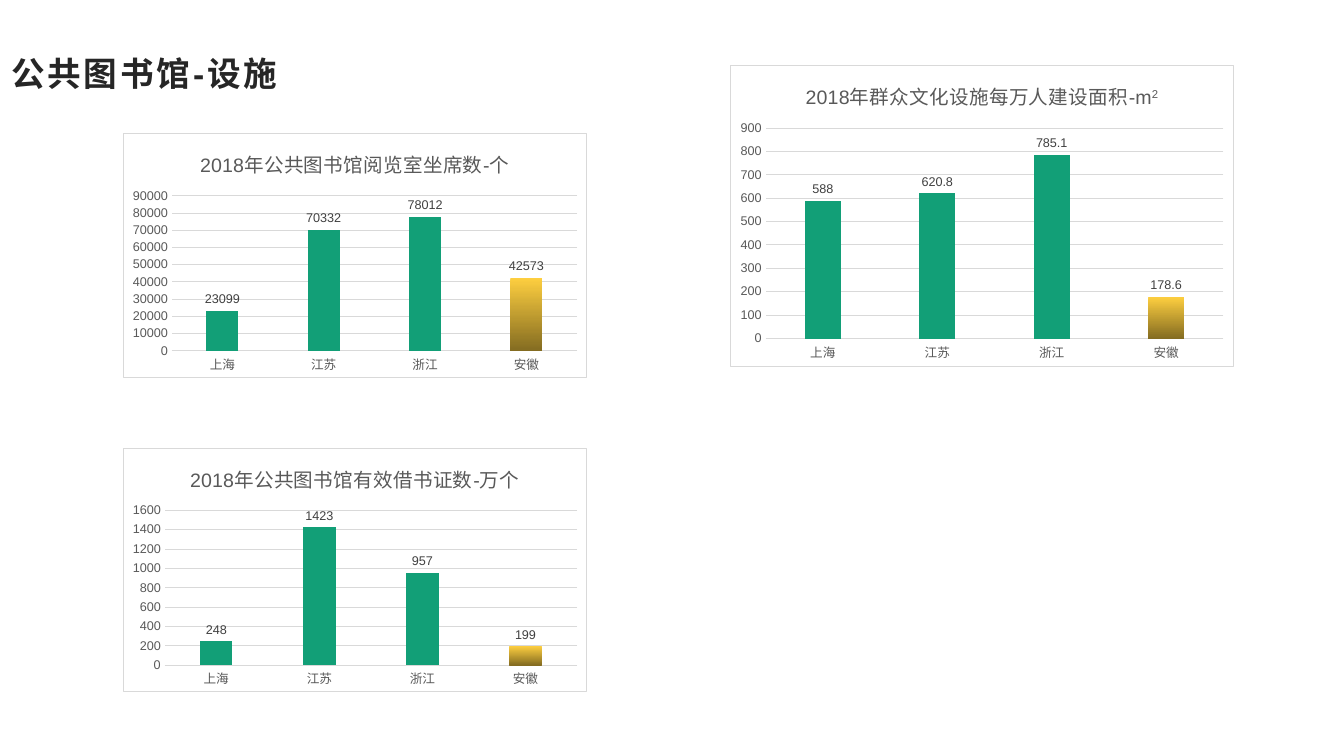
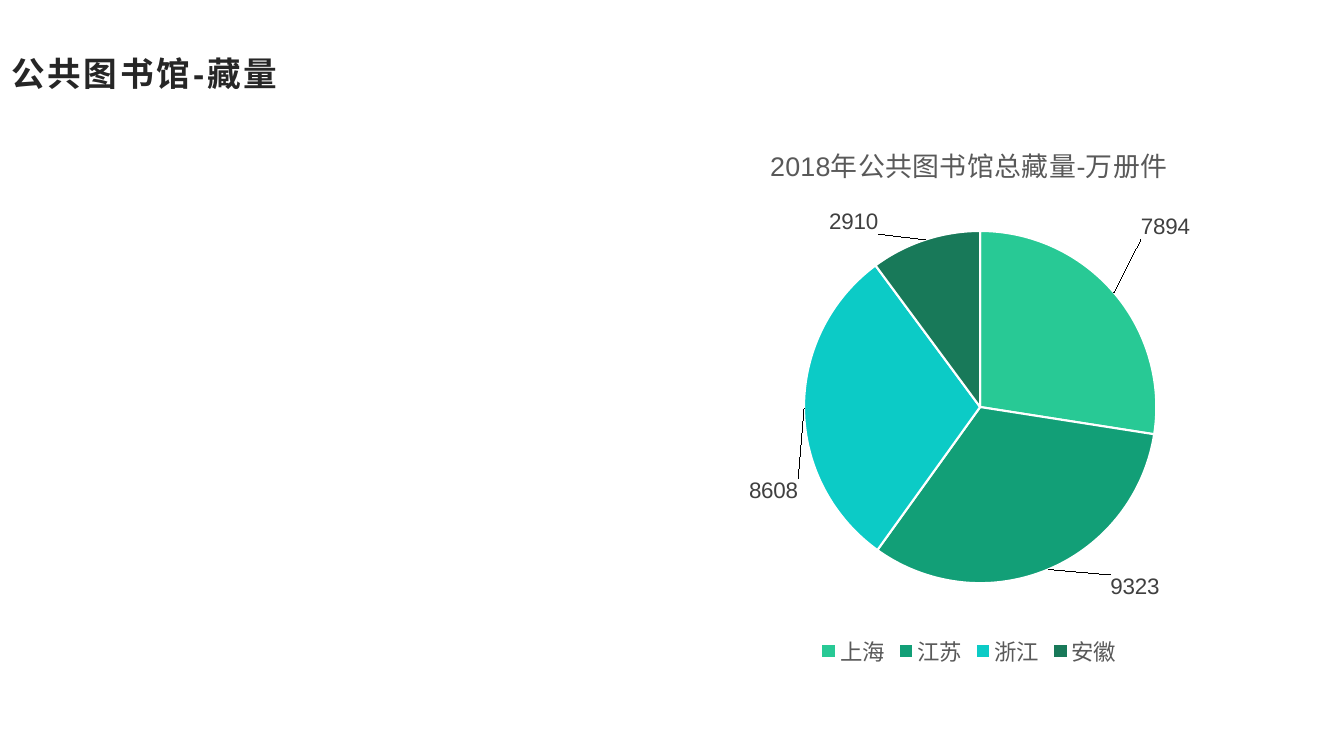
from dataclasses import dataclass

from lxml import etree
from pptx import Presentation
from pptx.chart.data import CategoryChartData
from pptx.dml.color import RGBColor
from pptx.enum.chart import (XL_CHART_TYPE, XL_LABEL_POSITION,
                             XL_LEGEND_POSITION, XL_TICK_MARK)
from pptx.enum.text import MSO_ANCHOR
from pptx.oxml import parse_xml
from pptx.oxml.ns import nsdecls, qn
from pptx.util import Inches, Pt

COLUMN, PIE = XL_CHART_TYPE.COLUMN_CLUSTERED, XL_CHART_TYPE.PIE
OUTSIDE_END = XL_LABEL_POSITION.OUTSIDE_END
LEGEND_BOTTOM = XL_LEGEND_POSITION.BOTTOM
NO_TICK = XL_TICK_MARK.NONE
MIDDLE = MSO_ANCHOR.MIDDLE


@dataclass(frozen=True)
class Theme:
    font: str = "Arial"
    white: str = "FFFFFF"
    heading: str = "262626"
    muted: str = "595959"
    label: str = "404040"
    rule: str = "D9D9D9"
    green: str = "129F77"
    highlight: tuple = ("FECF40", "846C21")
    slices: tuple = ("28C995", "129F77", "0CCBC6", "187959")
    heading_size: float = 24
    column_title_size: float = 14
    column_text_size: float = 9
    pie_title_size: float = 19.2
    pie_text_size: float = 16
    rule_width: float = 0.75
    slice_gap: float = 1.5


THEME = Theme()
PROVINCES = ("上海", "江苏", "浙江", "安徽")
HIGHLIGHTED = PROVINCES.index("安徽")

# title, superscript, values, axis maximum, axis step, (left, top, width, height)
COLUMN_CHARTS = (
    ("2018年公共图书馆阅览室坐席数-个", "", (23099, 70332, 78012, 42573),
     90000, 10000, (1.22, 1.32, 4.6, 2.43)),
    ("2018年公共图书馆有效借书证数-万个", "", (248, 1423, 957, 199),
     1600, 200, (1.22, 4.44, 4.6, 2.43)),
    ("2018年群众文化设施每万人建设面积-m", "2", (588, 620.8, 785.1, 178.6),
     900, 100, (7.24, 0.64, 5, 3)),
)
PIE_TITLE = "2018年公共图书馆总藏量-万册件"
PIE_VALUES = (7894, 9323, 8608, 2910)
PIE_BOX = (5.89, 1.2, 7.44, 5.46)
PIE_AREA = {"x": 0.28, "y": 0.2, "w": 0.47, "h": 0.64}
PIE_LABEL_SHIFTS = ((0.03, -0.09), (0.08, 0), (0, 0.15), (-0.06, 0))


def rgb(value):
    return RGBColor.from_string(value)


def style_font(font, size, color, bold=False):
    font.color.rgb = rgb(color)
    formats = {"name": THEME.font, "size": Pt(size), "bold": bold}
    for name, value in formats.items():
        setattr(font, name, value)


def style_line(line, color, width):
    line.color.rgb = rgb(color)
    line.width = Pt(width)


def add_page(deck, title):
    page = deck.slides.add_slide(deck.slide_layouts[6])
    box = page.shapes.add_textbox(
        Inches(0), Inches(0.48), Inches(11.87), Inches(0.48))
    frame = box.text_frame
    formats = {"word_wrap": True, "vertical_anchor": MIDDLE,
               "margin_left": Inches(0.11), "margin_right": Inches(0.08),
               "margin_top": Inches(0.04), "margin_bottom": Inches(0.04)}
    for name, value in formats.items():
        setattr(frame, name, value)
    span = frame.paragraphs[0].add_run()
    span.text = title
    style_font(span.font, THEME.heading_size, THEME.heading, bold=True)
    span._r.get_or_add_rPr().set("spc", "200")
    return page


def add_titled_chart(page, kind, title, values, box, title_size, superscript=""):
    data = CategoryChartData()
    data.categories = PROVINCES
    data.add_series(title + superscript, values)
    chart = page.shapes.add_chart(kind, *map(Inches, box), data).chart
    chart.font.name = THEME.font
    chart.has_title = True
    chart.chart_title.include_in_layout = False
    para = chart.chart_title.text_frame.paragraphs[0]
    for text, baseline in ((title, "0"), (superscript, "30000")):
        if text:
            span = para.add_run()
            span.text = text
            style_font(span.font, title_size, THEME.muted)
            span._r.get_or_add_rPr().set("baseline", baseline)
    return chart


def frame_chart(chart):
    """Give the chart area a white fill and a thin border."""
    frame = parse_xml(
        f'<c:spPr {nsdecls("c", "a")}>'
        f'<a:solidFill><a:srgbClr val="{THEME.white}"/></a:solidFill>'
        f'<a:ln w="{Pt(THEME.rule_width)}"><a:solidFill>'
        f'<a:srgbClr val="{THEME.rule}"/></a:solidFill></a:ln></c:spPr>')
    chart._chartSpace.find(qn("c:chart")).addnext(frame)


def style_axes(chart, maximum, step):
    category_axis, value_axis = chart.category_axis, chart.value_axis
    for axis in (category_axis, value_axis):
        axis.major_tick_mark = axis.minor_tick_mark = NO_TICK
        style_font(axis.tick_labels.font, THEME.column_text_size, THEME.muted)
    style_line(category_axis.format.line, THEME.rule, THEME.rule_width)
    scale = {"minimum_scale": 0, "maximum_scale": maximum, "major_unit": step,
             "has_major_gridlines": True}
    for name, value in scale.items():
        setattr(value_axis, name, value)
    value_axis.format.line.fill.background()
    style_line(value_axis.major_gridlines.format.line,
               THEME.rule, THEME.rule_width)


def show_values(labels, size):
    labels.show_value = True
    labels.position = OUTSIDE_END
    style_font(labels.font, size, THEME.label)


def add_column_chart(page, title, superscript, values, maximum, step, box):
    chart = add_titled_chart(page, COLUMN, title, values, box,
                             THEME.column_title_size, superscript)
    chart.has_legend = False
    frame_chart(chart)
    style_axes(chart, maximum, step)
    plot = chart.plots[0]
    for name, value in {"gap_width": 219, "overlap": -27,
                        "vary_by_categories": False}.items():
        setattr(plot, name, value)
    series = plot.series[0]
    series.format.fill.solid()
    series.format.fill.fore_color.rgb = rgb(THEME.green)
    fill = series.points[HIGHLIGHTED].format.fill
    fill.gradient()
    fill.gradient_angle = 270
    for stop, color in zip(fill.gradient_stops, THEME.highlight):
        stop.color.rgb = rgb(color)
    show_values(series.data_labels, THEME.column_text_size)


def make_layout(**settings):
    """Build a manual chart layout; settings are fractions of the chart."""
    layout = parse_xml(f'<c:layout {nsdecls("c")}><c:manualLayout/></c:layout>')
    for name, value in settings.items():
        etree.SubElement(layout[0], qn(f"c:{name}")).set("val", str(value))
    return layout


def place_pie(chart):
    plot_area = chart._chartSpace.find(f'{qn("c:chart")}/{qn("c:plotArea")}')
    current = plot_area.find(qn("c:layout"))
    if current is not None:
        plot_area.remove(current)
    plot_area.insert(0, make_layout(
        layoutTarget="inner", xMode="edge", yMode="edge", **PIE_AREA))


def add_pie_chart(page):
    chart = add_titled_chart(page, PIE, PIE_TITLE, PIE_VALUES, PIE_BOX,
                             THEME.pie_title_size)
    place_pie(chart)
    chart.has_legend = True
    chart.legend.position = LEGEND_BOTTOM
    chart.legend.include_in_layout = False
    style_font(chart.legend.font, THEME.pie_text_size, THEME.muted)
    series = chart.plots[0].series[0]
    show_values(series.data_labels, THEME.pie_text_size)
    for index, color in enumerate(THEME.slices):
        point = series.points[index]
        point.format.fill.solid()
        point.format.fill.fore_color.rgb = rgb(color)
        style_line(point.format.line, THEME.white, THEME.slice_gap)
        style_font(point.data_label.font, THEME.pie_text_size, THEME.label)
        point.data_label.position = OUTSIDE_END
    labels = series._element.iter(qn("c:dLbl"))
    for label, (x, y) in zip(labels, PIE_LABEL_SHIFTS):
        label.insert(1, make_layout(x=x, y=y))


def main():
    deck = Presentation()
    deck.slide_width, deck.slide_height = Inches(13.33), Inches(7.5)
    facilities = add_page(deck, "公共图书馆-设施")
    for chart in COLUMN_CHARTS:
        add_column_chart(facilities, *chart)
    add_pie_chart(add_page(deck, "公共图书馆-藏量"))
    deck.save("out.pptx")


if __name__ == "__main__":
    main()
